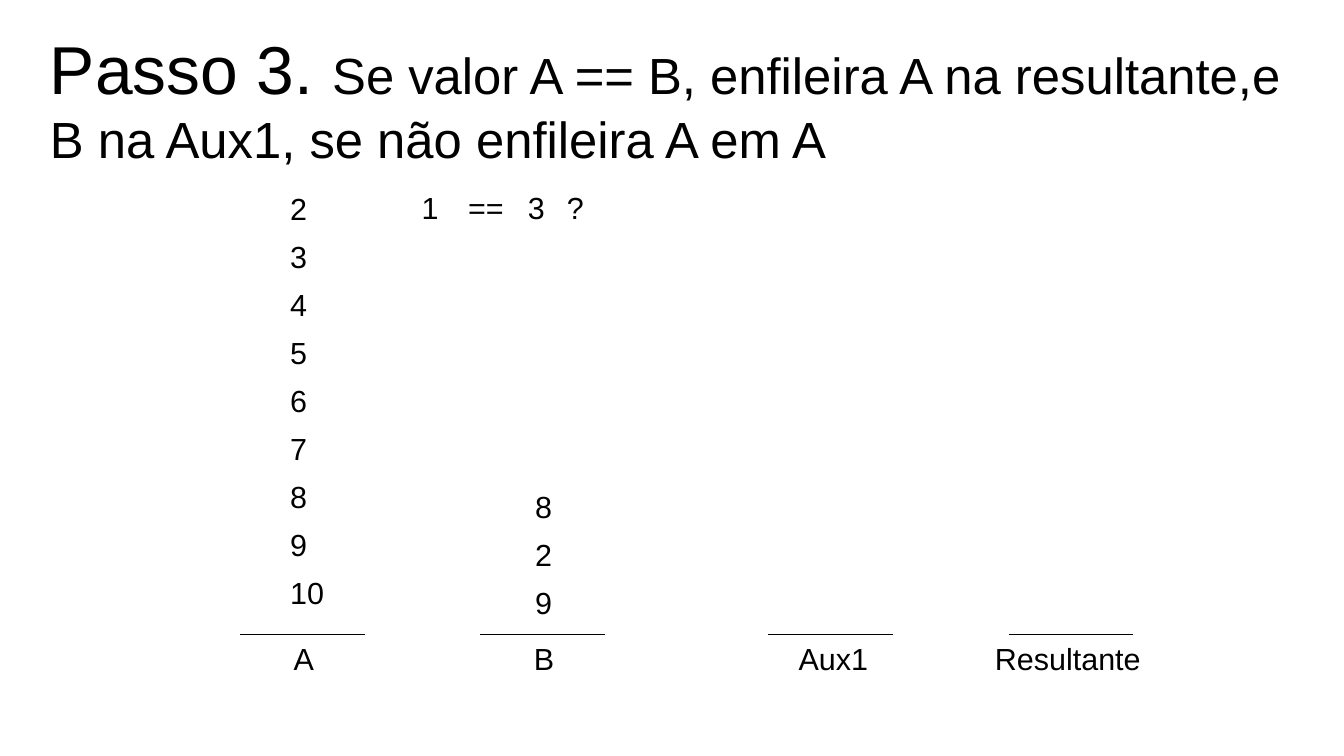
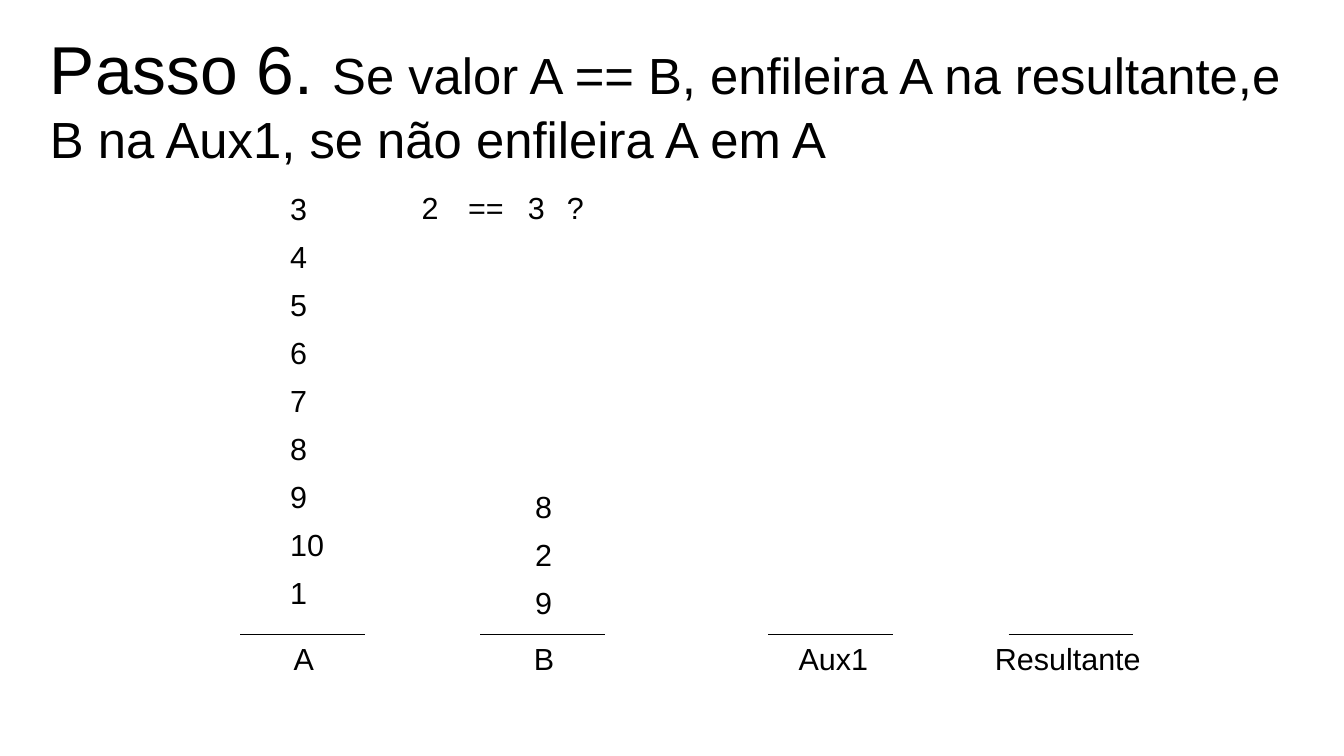
from dataclasses import dataclass

from lxml.etree import SubElement
from pptx import Presentation
from pptx.dml.color import RGBColor
from pptx.enum.shapes import MSO_CONNECTOR as Link
from pptx.enum.text import MSO_ANCHOR as Anchor, MSO_AUTO_SIZE as Fit, PP_ALIGN as Align
from pptx.oxml.ns import qn
from pptx.util import Inches, Pt


@dataclass
class Theme:
    ink: RGBColor = RGBColor(0, 0, 0)
    font: str = "Arial"
    head: int = 40
    rule: int = 30
    text: int = 18
    line: float = 0.5


theme = Theme()


def write(frame, text, size=theme.text, wrap=False):
    """Add one run of text to the first paragraph of a frame."""
    frame.word_wrap = wrap
    frame.auto_size = Fit.SHAPE_TO_FIT_TEXT
    frame.vertical_anchor = Anchor.TOP
    para = frame.paragraphs[0]
    para.alignment = Align.LEFT
    run = para.add_run()
    run.text = text
    run.font.size = Pt(size)
    run.font.name = theme.font
    run.font.color.rgb = theme.ink


# Shared layout: queue bases, their labels, the rows of values
rule = "Se valor A == B, enfileira A na resultante,e B na Aux1, se não enfileira A em A"
base, span, high, step = 5.2, 1.02, 0.38, 0.394
lines = [1.97, 3.94, 6.3, 8.27]
names = [("A", 2.31, 1.07), ("B", 4.28, 0.36), ("Aux1", 6.45, 0.77), ("Resultante", 8.06, 1.45)]

# Step number, queue A from top to bottom, value taken from A
steps = [
    (3, [2, 3, 4, 5, 6, 7, 8, 9, 10], 1),
    (6, [3, 4, 5, 6, 7, 8, 9, 10, 1], 2),
]
queue = [8, 2, 9]

deck = Presentation()
deck.slide_width, deck.slide_height = Inches(11.02), Inches(6.2)

for num, stack, value in steps:
    slide = deck.slides.add_slide(deck.slide_layouts[5])

    # Title
    title = slide.shapes.title
    title.left, title.top = Inches(0.31), Inches(0.17)
    title.width, title.height = Inches(10.39), Inches(1.65)
    write(title.text_frame, f"Passo {num}. ", size=theme.head, wrap=True)
    write(title.text_frame, rule, size=theme.rule, wrap=True)

    # Queue bases
    for left in lines:
        line = slide.shapes.add_connector(
            Link.STRAIGHT, Inches(left), Inches(base), Inches(left + span), Inches(base))
        line.line.color.rgb = theme.ink
        line.line.width = Pt(theme.line)
        SubElement(line._element.spPr, qn("a:effectLst"))

    # Labels, queue values and the comparison
    items = [(name, left, base, wide) for name, left, wide in names]
    for vals, left, top in [(stack, 2.28, 1.51), (queue, 4.29, 3.95)]:
        for row, val in enumerate(vals):
            wide = 0.55 if val == 10 else 0.34
            items.append((str(val), left, top + row * step, wide))
    items += [
        (str(value), 3.36, 1.5, 0.34),
        ("==", 3.74, 1.5, 0.49),
        ("3", 4.23, 1.5, 0.34),
        ("?", 4.55, 1.5, 0.34),
    ]
    for text, left, top, wide in items:
        box = slide.shapes.add_textbox(Inches(left), Inches(top), Inches(wide), Inches(high))
        write(box.text_frame, text)

deck.save("out.pptx")
